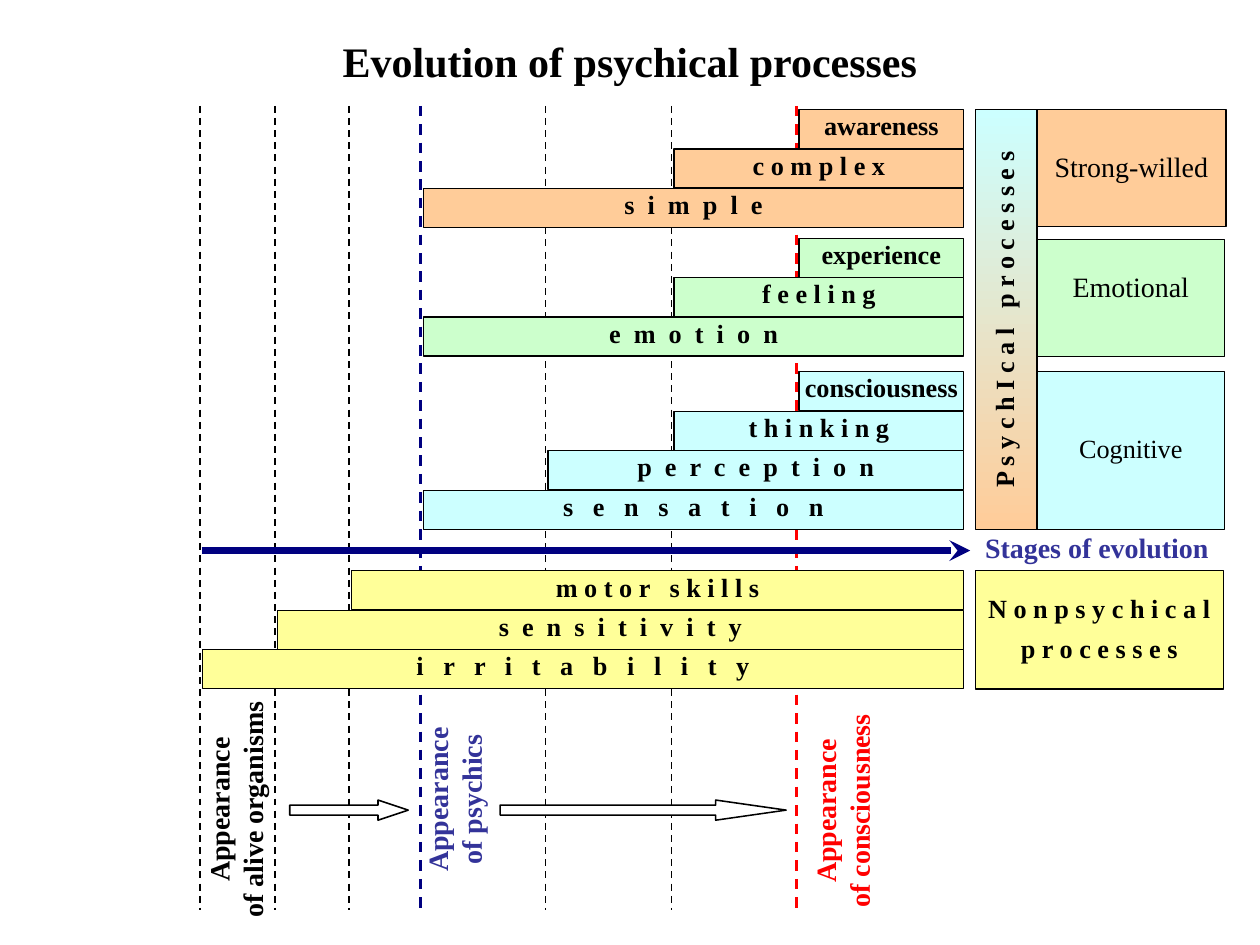
from dataclasses import dataclass

from lxml import etree
from pptx import Presentation
from pptx import util as u
from pptx.dml import color as dml_color
from pptx.enum import dml, shapes, text
from pptx.oxml import ns

FONT = "Times New Roman"
COLORS = {
    "black": "000000",
    "white": "FFFFFF",
    "navy": "000080",
    "indigo": "333399",
    "red": "FF0000",
    "orange": "FFCC99",
    "green": "CCFFCC",
    "cyan": "CCFFFF",
    "yellow": "FFFF99",
}
STAGE_TOP, STAGE_BOTTOM = 0.84, 7.22
BAR_RIGHT, BAR_HEIGHT, BAR_PITCH = 7.65, 0.31, 0.94 / 3
BAR_OFFSET = 0.02


@dataclass(frozen=True)
class Frame:
    left: float
    top: float
    width: float
    height: float
    rotation: int = 0

    def lengths(self):
        return [u.Inches(side) for side in (self.left, self.top, self.width, self.height)]


@dataclass(frozen=True)
class Stage:
    x: float
    color: str = "black"
    weight: float = 1


@dataclass(frozen=True)
class Bar:
    word: str
    stage: str
    gap: int = 0


@dataclass(frozen=True)
class Family:
    top: float
    color: str
    bars: tuple[Bar, ...]


@dataclass(frozen=True)
class Category:
    label: str
    frame: Frame
    color: str
    inset: float
    size: int = 16


@dataclass(frozen=True)
class Caption:
    lines: tuple[str, ...]
    frame: Frame
    color: str
    size: int = 16


@dataclass(frozen=True)
class BlockArrow:
    frame: Frame
    head_ratio: float


STAGES = {
    "psychics": Stage(3.34, "navy", 1.5),
    "organisms": Stage(1.59),
    "sensitivity": Stage(2.18),
    "motor": Stage(2.77),
    "consciousness": Stage(6.32, "red", 1.5),
    "thinking": Stage(5.33),
    "perception": Stage(4.33),
}
FAMILIES = (
    Family(0.87, "orange", (
        Bar("awareness", "consciousness"),
        Bar("complex", "thinking", 1),
        Bar("simple", "psychics", 2),
    )),
    Family(1.89, "green", (
        Bar("experience", "consciousness"),
        Bar("feeling", "thinking", 1),
        Bar("emotion", "psychics", 2),
    )),
    Family(2.95, "cyan", (
        Bar("consciousness", "consciousness"),
        Bar("thinking", "thinking", 1),
        Bar("perception", "perception", 2),
        Bar("sensation", "psychics", 3),
    )),
    Family(4.53, "yellow", (
        Bar("motor skills", "motor", 1),
        Bar("sensitivity", "sensitivity", 2),
        Bar("irritability", "organisms", 3),
    )),
)
CATEGORIES = (
    Category("Strong-willed", Frame(8.23, 0.87, 1.5, 0.93), "orange", 0.32),
    Category("Emotional", Frame(8.23, 1.9, 1.49, 0.93), "green", 0.24),
    Category("Cognitive", Frame(8.23, 2.95, 1.49, 1.25), "cyan", 0.48, 15),
)
CAPTIONS = (
    Caption(("Appearance", "of alive organisms"), Frame(1, 6.16, 1.73, 0.53, 270), "black"),
    Caption(("Appearance", "of psychics"), Frame(2.86, 6.08, 1.48, 0.53, 270), "indigo"),
    Caption(("Appearance", "of consciousness"), Frame(5.88, 6.17, 1.6, 0.53, 270), "red"),
    Caption(("Stages of evolution",), Frame(7.76, 4.21, 1.89, 0.27), "indigo"),
)
BLOCK_ARROWS = (
    BlockArrow(Frame(2.3, 6.35, 0.94, 0.16), 1.5),
    BlockArrow(Frame(3.97, 6.35, 2.27, 0.16), 3.5),
)


def rgb(name: str) -> dml_color.RGBColor:
    return dml_color.RGBColor.from_string(COLORS[name])


def spaced(word: str, gap: int) -> str:
    return (" " * gap).join(word)


def write(box, lines: tuple[str, ...], size: int = 15, color: str = "black",
          bold: bool = True, inset: float = 0, spacing: tuple = ()) -> None:
    frame = box.text_frame
    frame.word_wrap = True
    frame.vertical_anchor = text.MSO_ANCHOR.TOP
    frame.margin_left = frame.margin_right = frame.margin_bottom = 0
    frame.margin_top = u.Inches(inset)
    frame.text = "\n".join(lines)
    for para in frame.paragraphs:
        para.alignment = text.PP_ALIGN.CENTER
        para.font.name = FONT
        para.font.size = u.Pt(size)
        para.font.bold = bold
        para.font.color.rgb = rgb(color)
    for para, value in zip(frame.paragraphs, spacing):
        para.line_spacing = value


def add_block(page, frame: Frame, fill: str, kind=shapes.MSO_SHAPE.RECTANGLE,
              weight: float = 0.75):
    box = page.shapes.add_shape(kind, *frame.lengths())
    box.rotation = frame.rotation
    box.shadow.inherit = False
    box.fill.solid()
    box.fill.fore_color.rgb = rgb(fill)
    box.line.color.rgb = rgb("black")
    box.line.width = u.Pt(weight)
    return box


def add_caption(page, caption: Caption):
    box = page.shapes.add_textbox(*caption.frame.lengths())
    box.rotation = caption.frame.rotation
    write(box, caption.lines, caption.size, caption.color)
    return box


def add_line(page, start: tuple[float, float], end: tuple[float, float],
             color: str, weight: float):
    line = page.shapes.add_connector(
        shapes.MSO_CONNECTOR.STRAIGHT, *[u.Inches(value) for value in start + end])
    line.line.color.rgb = rgb(color)
    line.line.width = u.Pt(weight)
    etree.SubElement(line._element.spPr, ns.qn("a:effectLst"))
    return line


def add_family(page, family: Family) -> None:
    for row, bar in enumerate(family.bars):
        left = STAGES[bar.stage].x + BAR_OFFSET
        frame = Frame(left, family.top + row * BAR_PITCH, BAR_RIGHT - left, BAR_HEIGHT)
        write(add_block(page, frame, family.color), (spaced(bar.word, bar.gap),))


def add_psychical_column(page) -> None:
    column = add_block(page, Frame(6.32, 2.29, 3.33, 0.49, 270), "orange")
    column.fill.gradient()
    column.fill.gradient_angle = 0
    for stop, name in zip(column.fill.gradient_stops, ("orange", "cyan")):
        stop.color.rgb = rgb(name)
    write(column, (spaced("PsychIcal processes", 1),), spacing=(1.4,))


def main() -> None:
    deck = Presentation()
    deck.slide_width, deck.slide_height = u.Inches(10), u.Inches(7.5)
    page = deck.slides.add_slide(deck.slide_layouts[6])

    for stage in STAGES.values():
        line = add_line(page, (stage.x, STAGE_TOP), (stage.x, STAGE_BOTTOM),
                        stage.color, stage.weight)
        line.line.dash_style = dml.MSO_LINE.DASH

    title = add_caption(page, Caption(("Evolution of psychical processes",),
                                      Frame(0.5, 0.3, 9, 0.46), "black", 24))
    title.text_frame.vertical_anchor = text.MSO_ANCHOR.MIDDLE
    title.text_frame.paragraphs[0].line_spacing = u.Pt(22)

    for family in FAMILIES:
        add_family(page, family)
    add_psychical_column(page)
    for category in CATEGORIES:
        box = add_block(page, category.frame, category.color)
        write(box, (category.label,), category.size, bold=False, inset=category.inset)
    nonpsychical = add_block(page, Frame(7.74, 4.53, 1.97, 0.94), "yellow")
    write(nonpsychical, (spaced("Nonpsychical", 1), spaced("processes", 1)),
          spacing=(1.7, 1.25))

    for caption in CAPTIONS:
        add_caption(page, caption)
    for arrow in BLOCK_ARROWS:
        box = add_block(page, arrow.frame, "white", shapes.MSO_SHAPE.RIGHT_ARROW, 0.88)
        box.adjustments[1] = arrow.head_ratio

    timeline = add_line(page, (1.6, 4.37), (7.7, 4.37), "navy", 4)
    etree.SubElement(timeline.line._get_or_add_ln(), ns.qn("a:tailEnd"), type="stealth")
    deck.save("out.pptx")


if __name__ == "__main__":
    main()
